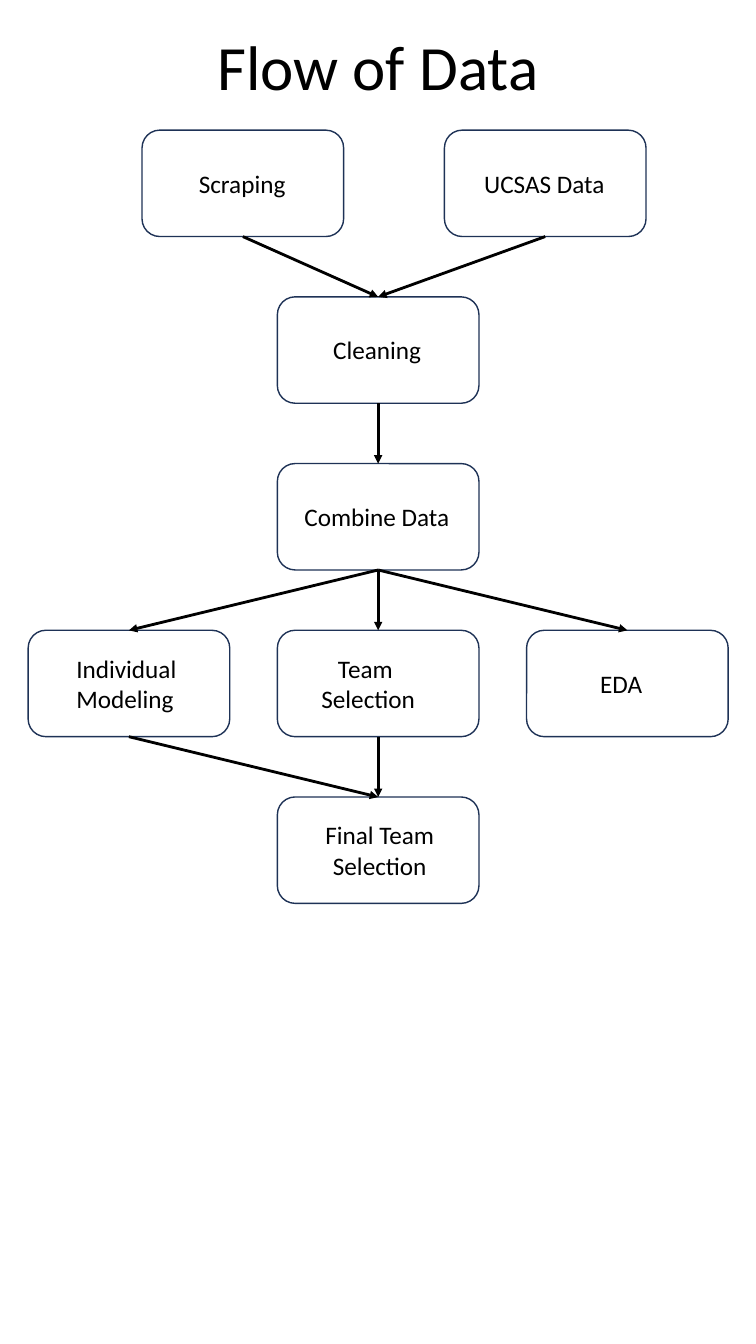
"""Build the Flow of Data slide: a flowchart from data sources to team selection."""
import dataclasses

import lxml.etree
import pptx
import pptx.dml.color
import pptx.enum.shapes
import pptx.enum.text
import pptx.oxml.ns
import pptx.util

Cm = pptx.util.Cm
Pt = pptx.util.Pt
LEFT = pptx.enum.text.PP_ALIGN.LEFT
CENTER = pptx.enum.text.PP_ALIGN.CENTER


@dataclasses.dataclass(frozen=True)
class Theme:
    """Hold the colours, font and sizes of the slide."""
    ink: str = "000000"
    outline: str = "1E3256"
    font: str = "Calibri"
    title_size: float = 45
    label_size: float = 18
    outline_width: float = 1
    arrow_width: float = 2


@dataclasses.dataclass(frozen=True)
class Step:
    """Describe one step of the flow, with lengths in centimetres."""
    label: str
    center: float
    row: int
    label_width: float
    label_shift: float = 0
    alignment: object = LEFT


THEME = Theme()
BOX_WIDTH, BOX_HEIGHT = 5.08, 2.68
FIRST_ROW, ROW_PITCH = 3.28, 4.2
LINE_HEIGHT, LABEL_PADDING = 0.77, 0.25
MIDDLE, SIDE_OFFSET = 9.53, 6.28

STEPS = {
    "scraping": Step("Scraping", 6.12, 0, 2.72),
    "ucsas": Step("UCSAS Data", 13.74, 0, 3.58),
    "cleaning": Step("Cleaning", MIDDLE, 1, 2.77),
    "combine": Step("Combine Data", MIDDLE, 2, 4.22),
    "individual": Step("Individual\nModeling", MIDDLE - SIDE_OFFSET, 3, 3.15),
    "team": Step("Team \nSelection", MIDDLE, 3, 2.9, -0.25, CENTER),
    "eda": Step("EDA", MIDDLE + SIDE_OFFSET, 3, 1.57, -0.15),
    "final": Step("Final Team\nSelection", MIDDLE, 4, 3.28, 0.04, CENTER),
}
ARROWS = [
    ("scraping", "cleaning"), ("ucsas", "cleaning"), ("cleaning", "combine"),
    ("combine", "team"), ("combine", "eda"), ("combine", "individual"),
    ("team", "final"), ("individual", "final"),
]


def apply_format(target, values):
    """Set every attribute named in values on target."""
    for name, value in values.items():
        setattr(target, name, value)


def write_text(frame, text, size, paragraph_format):
    """Fill a text frame with one formatted paragraph per line of text."""
    for index, line in enumerate(text.split("\n")):
        para = frame.add_paragraph() if index else frame.paragraphs[0]
        apply_format(para, paragraph_format)
        span = para.add_run()
        span.text = line
        apply_format(span.font, {"name": THEME.font, "size": Pt(size)})
        span.font.color.rgb = pptx.dml.color.RGBColor.from_string(THEME.ink)


def draw_line(line, color, width):
    """Give a line its colour and width."""
    line.color.rgb = pptx.dml.color.RGBColor.from_string(color)
    line.width = Pt(width)


def add_title(page, text):
    """Place and format the title placeholder."""
    title = page.shapes.title
    apply_format(title, {"left": Cm(1.42), "top": Cm(0.43),
                         "width": Cm(16.2), "height": Cm(2.31)})
    apply_format(title.text_frame, {
        "vertical_anchor": pptx.enum.text.MSO_ANCHOR.BOTTOM,
        "auto_size": pptx.enum.text.MSO_AUTO_SIZE.NONE, "word_wrap": True})
    write_text(title.text_frame, text, THEME.title_size,
               {"alignment": CENTER, "line_spacing": 0.9})


def add_box(page, step):
    """Draw the rounded outline of a step."""
    box = page.shapes.add_shape(
        pptx.enum.shapes.MSO_SHAPE.ROUNDED_RECTANGLE,
        Cm(step.center - BOX_WIDTH / 2), Cm(FIRST_ROW + step.row * ROW_PITCH),
        Cm(BOX_WIDTH), Cm(BOX_HEIGHT))
    box.shadow.inherit = False
    box.fill.background()
    draw_line(box.line, THEME.outline, THEME.outline_width)
    return box


def add_label(page, step):
    """Write the name of a step at the middle height of its box."""
    height = LINE_HEIGHT * len(step.label.split("\n")) + LABEL_PADDING
    middle = FIRST_ROW + step.row * ROW_PITCH + BOX_HEIGHT / 2
    label = page.shapes.add_textbox(
        Cm(step.center + step.label_shift - step.label_width / 2),
        Cm(middle - height / 2), Cm(step.label_width), Cm(height))
    apply_format(label.text_frame, {
        "word_wrap": False,
        "auto_size": pptx.enum.text.MSO_AUTO_SIZE.SHAPE_TO_FIT_TEXT})
    write_text(label.text_frame, step.label, THEME.label_size,
               {"alignment": step.alignment})


def add_arrow(page, source, target):
    """Join the bottom of one box to the top of another with an arrow."""
    arrow = page.shapes.add_connector(
        pptx.enum.shapes.MSO_CONNECTOR.STRAIGHT, 0, 0, 0, 0)
    arrow.begin_connect(source, 2)
    arrow.end_connect(target, 0)
    draw_line(arrow.line, THEME.ink, THEME.arrow_width)
    qn = pptx.oxml.ns.qn
    properties = arrow._element.spPr
    lxml.etree.SubElement(properties.find(qn("a:ln")), qn("a:tailEnd"), type="triangle")
    lxml.etree.SubElement(properties, qn("a:effectLst"))


def main():
    """Build the slide and save it."""
    deck = pptx.Presentation()
    apply_format(deck, {"slide_width": Cm(19.05), "slide_height": Cm(33.86)})
    page = deck.slides.add_slide(deck.slide_layouts[5])
    add_title(page, "Flow of Data")
    boxes = {name: add_box(page, step) for name, step in STEPS.items()}
    for source, target in ARROWS:
        add_arrow(page, boxes[source], boxes[target])
    for step in STEPS.values():
        add_label(page, step)
    deck.save("out.pptx")


if __name__ == "__main__":
    main()
